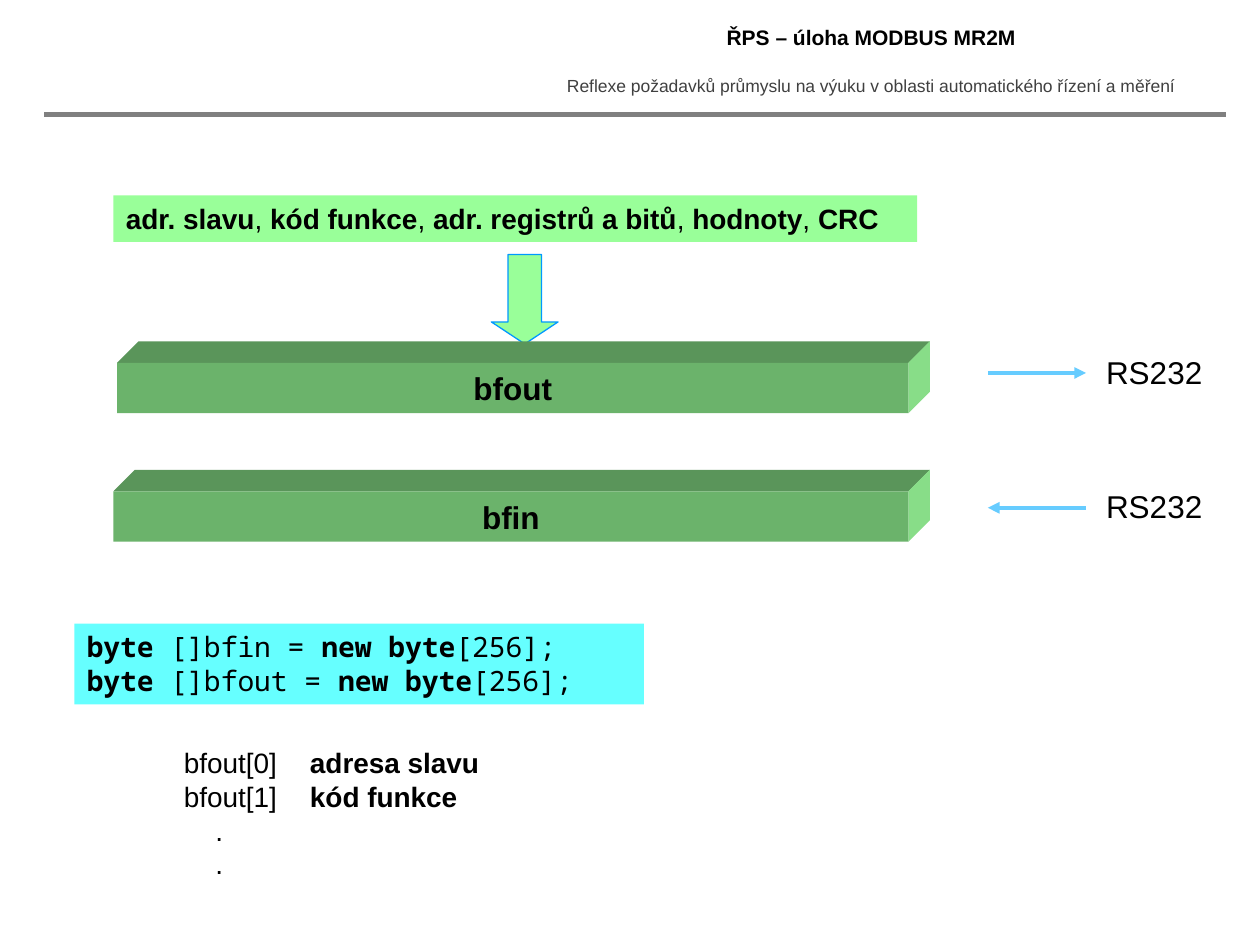
"""Builds the slide on the MODBUS message buffers."""
from lxml import etree
from pptx import Presentation
from pptx.dml.color import RGBColor
from pptx.enum.shapes import MSO_CONNECTOR, MSO_SHAPE
from pptx.enum.text import MSO_ANCHOR, MSO_AUTO_SIZE, PP_ALIGN
from pptx.oxml.ns import qn
from pptx.util import Inches, Pt

LEFT, CENTER = PP_ALIGN.LEFT, PP_ALIGN.CENTER
TOP, MIDDLE = MSO_ANCHOR.TOP, MSO_ANCHOR.MIDDLE
NO_FIT = MSO_AUTO_SIZE.NONE
RECTANGLE, DOWN_ARROW = MSO_SHAPE.RECTANGLE, MSO_SHAPE.DOWN_ARROW
STRAIGHT = MSO_CONNECTOR.STRAIGHT

BLACK = RGBColor(0x00, 0x00, 0x00)
DARK_GRAY = RGBColor(0x40, 0x40, 0x40)
GRAY = RGBColor(0x80, 0x80, 0x80)
LIGHT_GREEN = RGBColor(0x99, 0xFF, 0x99)
FRONT_GREEN = RGBColor(0x6B, 0xB3, 0x6B)
TOP_GREEN = RGBColor(0x5A, 0x95, 0x5A)
SIDE_GREEN = RGBColor(0x88, 0xDD, 0x88)
CYAN = RGBColor(0x66, 0xFF, 0xFF)
BLUE = RGBColor(0x00, 0x99, 0xFF)
SKY_BLUE = RGBColor(0x66, 0xCC, 0xFF)

SANS, MONO = "Arial", "Noto Sans Mono"

HEADING = "ŘPS – úloha MODBUS MR2M"
SUBTITLE = "Reflexe požadavků průmyslu na výuku v oblasti automatického řízení a měření"
FRAME_FIELDS = ["adr. slavu", "kód funkce", "adr. registrů a bitů", "hodnoty", "CRC"]
BUFFERS = [("bfout", 0.93, 2.88), ("bfin", 0.9, 3.9)]
BUFFER_RIGHT, BUFFER_HEIGHT, DEPTH = 7.21, 0.4, 0.17
LINKS = [("RS232", 2.96, "tailEnd"), ("RS232", 4.03, "headEnd")]
DECLARATIONS = ["bfin", "bfout"]
BYTES = [("bfout[0]", "adresa slavu"), ("bfout[1]", "kód funkce")]
DOTS = [".", "."]


def place(box, left, top, width, height):
    box.left, box.top = Inches(left), Inches(top)
    box.width, box.height = Inches(width), Inches(height)


def write(box, lines, size, font=SANS, color=BLACK, align=LEFT, anchor=TOP, wrap=True):
    """Fill a box with lines, each a list of (text, bold) runs."""
    frame = box.text_frame
    frame.auto_size, frame.word_wrap = NO_FIT, wrap
    frame.vertical_anchor = anchor
    for index, runs in enumerate(lines):
        para = frame.paragraphs[0] if index == 0 else frame.add_paragraph()
        para.alignment = align
        para.space_before = Pt(0)
        for text, bold in runs:
            span = para.add_run()
            span.text = text
            span.font.name, span.font.size = font, Pt(size)
            span.font.bold, span.font.color.rgb = bold, color


def paint(shape, fill, line=None):
    shape.shadow.inherit = False
    shape.fill.solid()
    shape.fill.fore_color.rgb = fill
    if line is None:
        shape.line.fill.background()
    else:
        shape.line.color.rgb = line
        shape.line.width = Pt(0.75)
    return shape


def add_panel(page, kind, left, top, width, height, fill, line=None):
    shape = page.shapes.add_shape(
        kind, Inches(left), Inches(top), Inches(width), Inches(height))
    return paint(shape, fill, line)


def add_face(page, points, fill):
    corners = [(Inches(x), Inches(y)) for x, y in points]
    outline = page.shapes.build_freeform(*corners[0])
    outline.add_line_segments(corners[1:], close=True)
    paint(outline.convert_to_shape(), fill)


def add_buffer(page, name, left, top):
    right, bottom = BUFFER_RIGHT, top + BUFFER_HEIGHT
    back_left, back_right, back_top = left + DEPTH, right + DEPTH, top - DEPTH
    add_face(page, [(left, top), (back_left, back_top),
                    (back_right, back_top), (right, top)], TOP_GREEN)
    add_face(page, [(right, top), (back_right, back_top),
                    (back_right, bottom - DEPTH), (right, bottom)], SIDE_GREEN)
    front = add_panel(page, RECTANGLE, left, top, right - left, BUFFER_HEIGHT, FRONT_GREEN)
    write(front, [[(name, True)]], 18, align=CENTER)


def add_line(page, left, right, y, color, width, arrow=None):
    line = page.shapes.add_connector(
        STRAIGHT, Inches(left), Inches(y), Inches(right), Inches(y))
    line.line.color.rgb, line.line.width = color, Pt(width)
    if arrow:
        etree.SubElement(line.line._get_or_add_ln(), qn("a:" + arrow), type="triangle")
    etree.SubElement(line._element.spPr, qn("a:effectLst"))


def add_label(page, text, left, top, width, height, size, **style):
    box = page.shapes.add_textbox(
        Inches(left), Inches(top), Inches(width), Inches(height))
    write(box, [[(text, False)]], size, **style)


def indent(para, margin, tab):
    """Remove the bullet and set the left margin and one tab stop."""
    props = para._p.get_or_add_pPr()
    props.set("marL", str(Inches(margin)))
    props.set("indent", "0")
    etree.SubElement(props, qn("a:buNone"))
    stops = etree.SubElement(props, qn("a:tabLst"))
    etree.SubElement(stops, qn("a:tab"), pos=str(Inches(tab)), algn="l")


deck = Presentation()
deck.slide_width, deck.slide_height = Inches(10), Inches(7.5)
page = deck.slides.add_slide(deck.slide_layouts[1])

title = page.shapes.title
place(title, 4.3, 0.14, 5.23, 0.31)
write(title, [[(HEADING, True)]], 12, align=CENTER, anchor=MIDDLE)
add_label(page, SUBTITLE, 4.3, 0.55, 5.22, 0.27, 10, color=DARK_GRAY, align=CENTER)
add_line(page, 0.35, 9.73, 0.91, GRAY, 3)

fields = []
for field in FRAME_FIELDS:
    if fields:
        fields.append((", ", False))
    fields.append((field, True))
write(add_panel(page, RECTANGLE, 0.9, 1.55, 6.38, 0.37, LIGHT_GREEN), [fields], 16)

arrow = add_panel(page, DOWN_ARROW, 3.9, 2.02, 0.53, 0.71, LIGHT_GREEN, BLUE)
arrow.adjustments[0], arrow.adjustments[1] = 0.5, 0.33

for name, left, top in BUFFERS:
    add_buffer(page, name, left, top)

for label, y, end in LINKS:
    add_line(page, 7.84, 8.62, y, SKY_BLUE, 2.25, end)
    add_label(page, label, 8.68, y - 0.21, 0.97, 0.4, 18, wrap=False)

code = [[("byte", True), (f" []{name} = ", False), ("new byte", True), ("[256];", False)]
        for name in DECLARATIONS]
write(add_panel(page, RECTANGLE, 0.59, 4.95, 4.52, 0.64, CYAN), code, 16, font=MONO)

body = page.placeholders[1]
place(body, 1.36, 5.87, 2.76, 1.18)
rows = [[(cell + "\t", False), (meaning, True)] for cell, meaning in BYTES]
write(body, rows + [[(dot, False)] for dot in DOTS], 16)
for index, para in enumerate(body.text_frame.paragraphs):
    indent(para, 0 if index < len(BYTES) else 0.25, 0.98)

deck.save("out.pptx")
